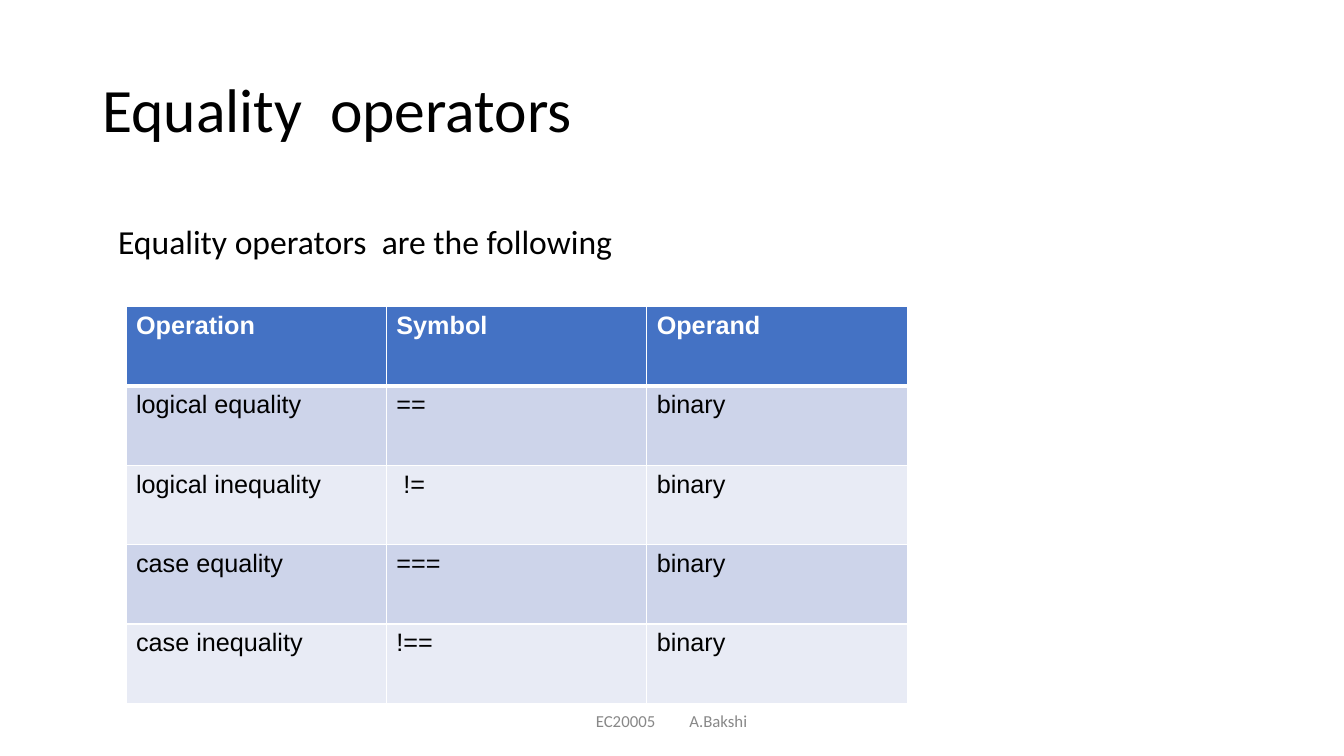
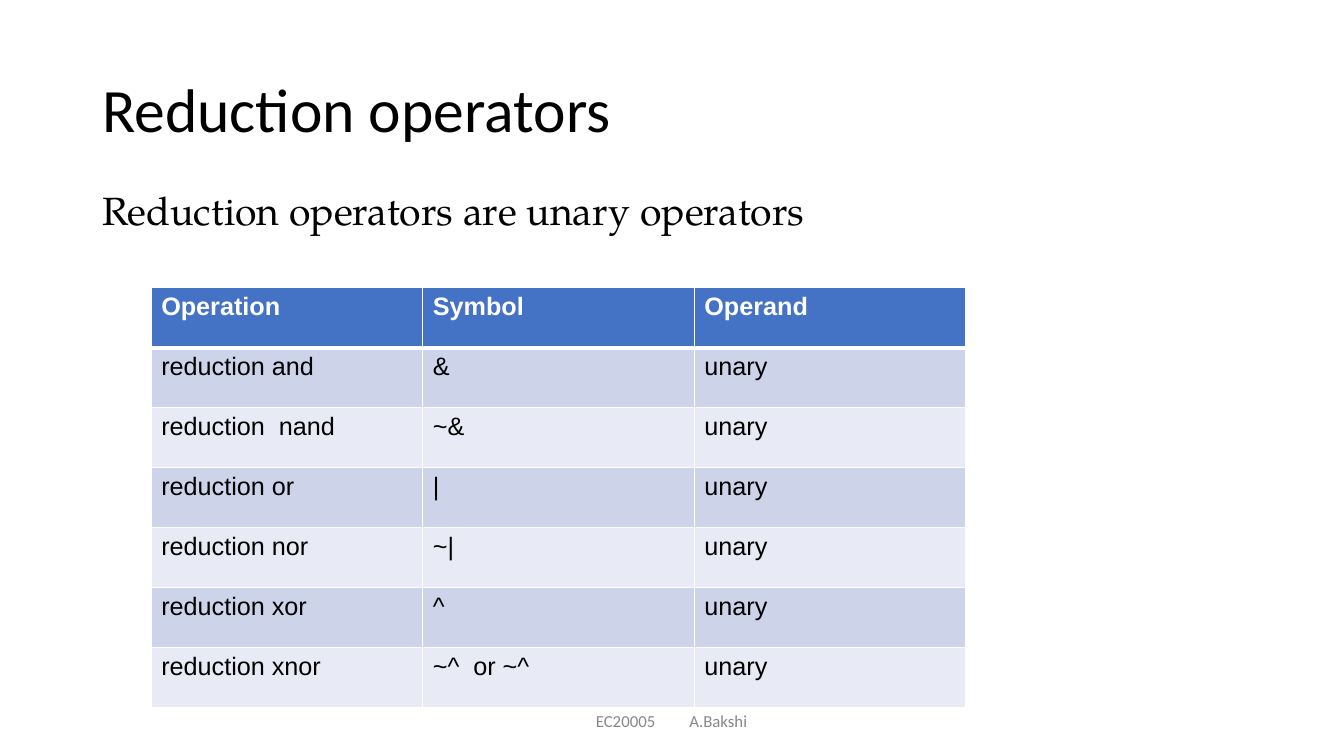
from lxml import etree
from pptx import Presentation
from pptx.dml.color import RGBColor
from pptx.enum.text import MSO_ANCHOR
from pptx.oxml.ns import qn
from pptx.util import Emu, Pt

TOP, MIDDLE = MSO_ANCHOR.TOP, MSO_ANCHOR.MIDDLE
PX = 9525  # one px in EMU, 96 px to the inch

BLACK, WHITE, GREY = "000000", "FFFFFF", "888888"
HEADER_FILL = "4472C4"
BAND_FILLS = ("CDD4EA", "E8EBF5")

TITLE_STYLE = {"name": "Calibri", "size": Pt(44), "color": BLACK}
FOOTER_STYLE = {"name": "Calibri", "size": Pt(12), "color": GREY}
HEADER_STYLE = {"name": "Arial", "size": Pt(18), "bold": True, "color": WHITE}
CELL_STYLE = {"name": "Arial", "size": Pt(18), "bold": False, "color": BLACK}

TITLE_BOX = (88, 38, 1104, 139)
FOOTER_BOX = (558, 667, 298, 38)
FOOTER_TAB = 89
COLUMN_NAMES = ("Operation", "Symbol", "Operand")

SLIDES = [
    {
        "title": "Equality  operators",
        "lead": "Equality operators  are the following",
        "lead_box": (103, 210, 880, 60),
        "lead_style": {"name": "Calibri", "size": Pt(24), "color": BLACK},
        "table_box": (120, 292, 744, 378),
        "operand": "binary",
        "operations": [
            ("logical equality", "=="),
            ("logical inequality", " !="),
            ("case equality", "==="),
            ("case inequality", "!=="),
        ],
    },
    {
        "title": "Reduction operators",
        "lead": "Reduction operators are unary operators",
        "lead_box": (88, 178, 888, 60),
        "lead_style": {"name": "TeX Gyre Pagella", "size": Pt(28), "color": BLACK},
        "table_box": (144, 274, 776, 400),
        "operand": "unary",
        "operations": [
            ("reduction and", "&"),
            ("reduction  nand", "~&"),
            ("reduction or", "|"),
            ("reduction nor", "~|"),
            ("reduction xor", "^"),
            ("reduction xnor", "~^  or ~^"),
        ],
    },
]


def px(length):
    return Emu(round(length * PX))


def rgb(value):
    return RGBColor.from_string(value)


def write(para, text, style):
    span = para.add_run()
    span.text = text
    for key, value in style.items():
        if key == "color":
            span.font.color.rgb = rgb(value)
        else:
            setattr(span.font, key, value)


def add_text(page, box, text, style, anchor=TOP, spacing=0.9, tab=None):
    shape = page.shapes.add_textbox(*map(px, box))
    frame = shape.text_frame
    frame.word_wrap = True
    frame.vertical_anchor = anchor
    para = frame.paragraphs[0]
    para.line_spacing = spacing
    if tab:
        stops = etree.SubElement(para._p.get_or_add_pPr(), qn("a:tabLst"))
        etree.SubElement(stops, qn("a:tab"), pos=str(px(tab)), algn="l")
    write(para, text, style)


def add_borders(cell, widths):
    """Draw white cell borders; widths maps each side to points."""
    properties = cell._tc.get_or_add_tcPr()
    for side, width in widths.items():
        line = etree.SubElement(properties, qn("a:ln" + side), w=str(Pt(width)))
        fill = etree.SubElement(line, qn("a:solidFill"))
        etree.SubElement(fill, qn("a:srgbClr"), val=WHITE)


def add_operator_table(page, box, rows):
    left, top, width, height = box
    frame = page.shapes.add_table(len(rows), len(rows[0]), *map(px, box))
    table = frame.table
    for column in table.columns:
        column.width = px(width / len(rows[0]))
    for index, values in enumerate(rows):
        table.rows[index].height = px(height / len(rows))
        is_header = index == 0
        fill = HEADER_FILL if is_header else BAND_FILLS[(index - 1) % 2]
        style = HEADER_STYLE if is_header else CELL_STYLE
        # The rule under the header row is heavier
        widths = {"L": 1, "R": 1, "T": 3 if index == 1 else 1, "B": 3 if is_header else 1}
        for cell, value in zip(table.rows[index].cells, values):
            add_borders(cell, widths)
            cell.fill.solid()
            cell.fill.fore_color.rgb = rgb(fill)
            write(cell.text_frame.paragraphs[0], value, style)


def add_operator_slide(deck, content):
    page = deck.slides.add_slide(deck.slide_layouts[6])
    # Title and lead sentence
    add_text(page, TITLE_BOX, content["title"], TITLE_STYLE, MIDDLE)
    add_text(page, content["lead_box"], content["lead"], content["lead_style"])
    # Operator table
    body = [(*operation, content["operand"]) for operation in content["operations"]]
    add_operator_table(page, content["table_box"], [COLUMN_NAMES, *body])
    # Footer
    add_text(page, FOOTER_BOX, "EC20005\tA.Bakshi", FOOTER_STYLE, MIDDLE, 1.0, FOOTER_TAB)


def main():
    deck = Presentation()
    deck.slide_width, deck.slide_height = px(1280), px(720)
    for content in SLIDES:
        add_operator_slide(deck, content)
    deck.save("out.pptx")


if __name__ == "__main__":
    main()
